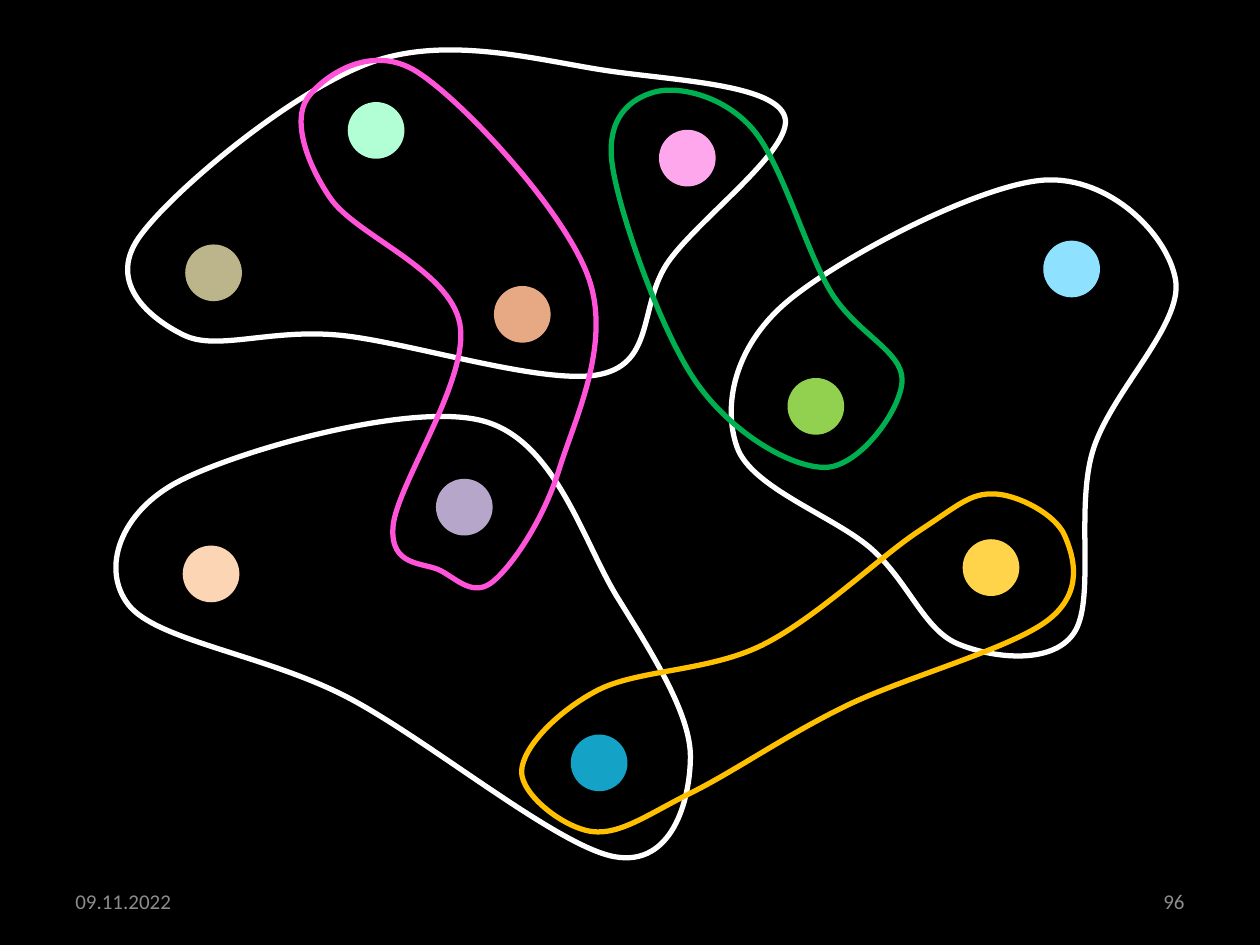
from lxml.etree import SubElement
from pptx import Presentation
from pptx.dml.color import RGBColor
from pptx.enum.shapes import MSO_SHAPE as Shape
from pptx.enum.text import MSO_ANCHOR as Anchor, PP_ALIGN as Align
from pptx.oxml.ns import qn
from pptx.util import Inches, Pt

COLORS = {
    "background": "000000", "footer": "8C8C8C", "white": "FFFFFF",
    "magenta": "FF53DA", "green": "00B050", "amber": "FFC000",
    "peach": "FCD5B5", "lime": "92D050", "lilac": "B5A6CA",
    "mint": "B3FFD5", "khaki": "BCB48A", "yellow": "FFD44B",
    "teal": "14A3C7", "pink": "FFA7EC", "sky": "8FE2FF", "copper": "E6A984",
}
NODE_SIZE = 0.45
NODES = [  # colour, left, top
    ("peach", 1.45, 4.33), ("lime", 6.25, 3), ("lilac", 3.46, 3.8),
    ("mint", 2.76, 0.81), ("khaki", 1.47, 1.94), ("yellow", 7.64, 4.28),
    ("teal", 4.53, 5.83), ("pink", 5.23, 1.03), ("sky", 8.28, 1.91),
    ("copper", 3.92, 2.27),
]
FOOTERS = [("09.11.2022", 0.5, Align.LEFT), ("96", 7.17, Align.RIGHT)]

# Colour and the anchors that a smooth closed curve runs through
OUTLINES = [
    ("white", [(2.75, 5.53), (1.02, 4.8), (1.42, 3.82), (3.83, 3.34),
               (4.9, 4.74), (5.48, 6.01), (4.88, 6.8)]),
    ("white", [(2.69, 2.66), (1.46, 2.66), (1.1, 1.89), (2.96, 0.49),
               (4.88, 0.57), (6.23, 0.93), (5.31, 2.07), (4.77, 2.97)]),
    ("white", [(6.92, 4.36), (5.85, 3.55), (6.23, 2.41), (8.29, 1.43),
               (9.33, 2.22), (8.67, 3.59), (8.52, 5.03), (7.6, 5.11)]),
    ("magenta", [(3.5, 4.53), (3.12, 4.18), (3.65, 2.57), (2.62, 1.57),
                 (2.44, 0.78), (3.31, 0.57), (4.67, 2.2), (4.44, 3.72),
                 (3.92, 4.61)]),
    ("green", [(6.55, 3.71), (5.53, 3.04), (4.86, 1.31), (5.2, 0.73),
               (5.97, 1.02), (6.59, 2.31), (7.16, 3.02)]),
    ("amber", [(6.05, 5.12), (7.3, 4.21), (7.89, 3.92), (8.45, 4.25),
               (8.32, 4.92), (6.72, 5.6), (5.49, 6.29), (4.7, 6.6),
               (4.14, 6.12), (4.74, 5.48)]),
]


def color(name):
    return RGBColor.from_string(COLORS[name])


def smooth_segments(anchors):
    """Return cubic corners whose tangents follow each anchor's neighbours."""
    count = len(anchors)
    segments = []
    for index, start in enumerate(anchors):
        before, end, after = (anchors[(index + shift) % count] for shift in (-1, 1, 2))
        leaving = tuple(s + (e - b) / 6 for b, s, e in zip(before, start, end))
        arriving = tuple(e - (a - s) / 6 for s, e, a in zip(start, end, after))
        segments.append((start, leaving, arriving, end))
    return segments


def curve_points(corners, steps=20):
    """Return points along one cubic curve, without its start."""
    points = []
    for step in range(1, steps + 1):
        t = step / steps
        weights = ((1 - t) ** 3, 3 * t * (1 - t) ** 2, 3 * t * t * (1 - t), t ** 3)
        points.append(tuple(sum(w * c for w, c in zip(weights, axis))
                            for axis in zip(*corners)))
    return points


def add_node(slide, name, left, top):
    shape = slide.shapes.add_shape(Shape.OVAL, Inches(left), Inches(top),
                                   Inches(NODE_SIZE), Inches(NODE_SIZE))
    shape.shadow.inherit = False
    shape.fill.solid()
    shape.fill.fore_color.rgb = color(name)
    shape.line.fill.background()


def add_footer(slide, text, left, alignment):
    box = slide.shapes.add_textbox(Inches(left), Inches(6.95), Inches(2.33), Inches(0.4))
    frame = box.text_frame
    frame.word_wrap = True
    frame.vertical_anchor = Anchor.MIDDLE
    paragraph = frame.paragraphs[0]
    paragraph.text = text
    paragraph.alignment = alignment
    font = paragraph.runs[0].font
    for key, value in {"name": "Calibri", "size": Pt(12)}.items():
        setattr(font, key, value)
    font.color.rgb = color("footer")


def add_outline(slide, name, anchors):
    """Size a freeform by points on its curves, then make its segments cubic."""
    anchors = [tuple(Inches(value) for value in anchor) for anchor in anchors]
    segments = smooth_segments(anchors)
    builder = slide.shapes.build_freeform(*anchors[0])
    builder.add_line_segments(
        [point for corners in segments for point in curve_points(corners)], close=True)
    shape = builder.convert_to_shape()

    outline = shape.element.find(".//" + qn("a:path"))
    for line in outline.findall(qn("a:lnTo")):
        outline.remove(line)
    close = outline.find(qn("a:close"))
    for _, *corners in segments:
        cubic = SubElement(outline, qn("a:cubicBezTo"))
        for x, y in corners:
            SubElement(cubic, qn("a:pt"), x=str(round(x - shape.left)),
                       y=str(round(y - shape.top)))
    outline.append(close)

    shape.shadow.inherit = False
    shape.fill.background()
    shape.line.color.rgb = color(name)
    shape.line.width = Pt(3)


def main():
    presentation = Presentation()
    presentation.slide_width, presentation.slide_height = Inches(10), Inches(7.5)
    slide = presentation.slides.add_slide(presentation.slide_layouts[6])
    slide.background.fill.solid()
    slide.background.fill.fore_color.rgb = color("background")
    for node in NODES:
        add_node(slide, *node)
    for footer in FOOTERS:
        add_footer(slide, *footer)
    for outline in OUTLINES:
        add_outline(slide, *outline)
    presentation.save("out.pptx")


if __name__ == "__main__":
    main()
